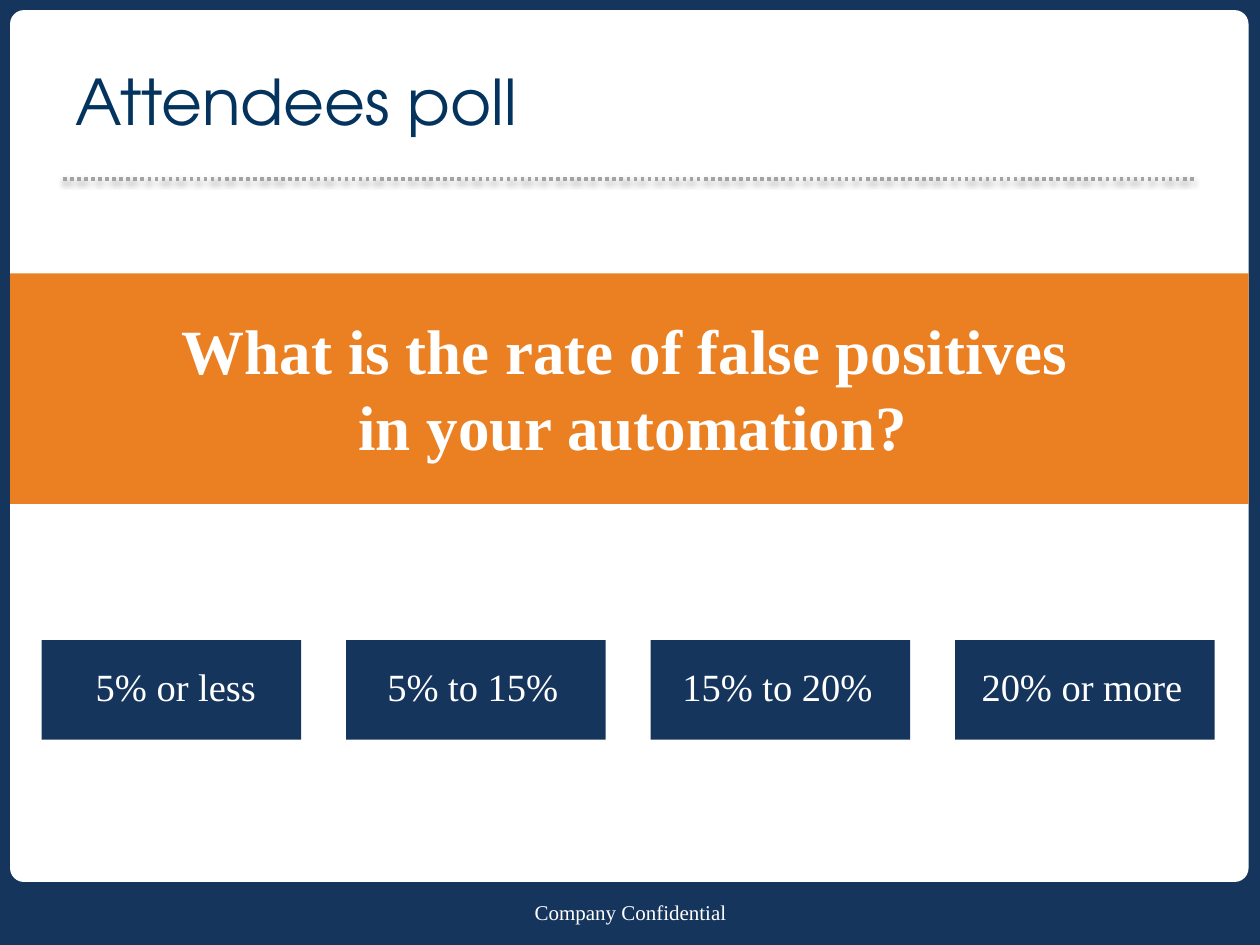
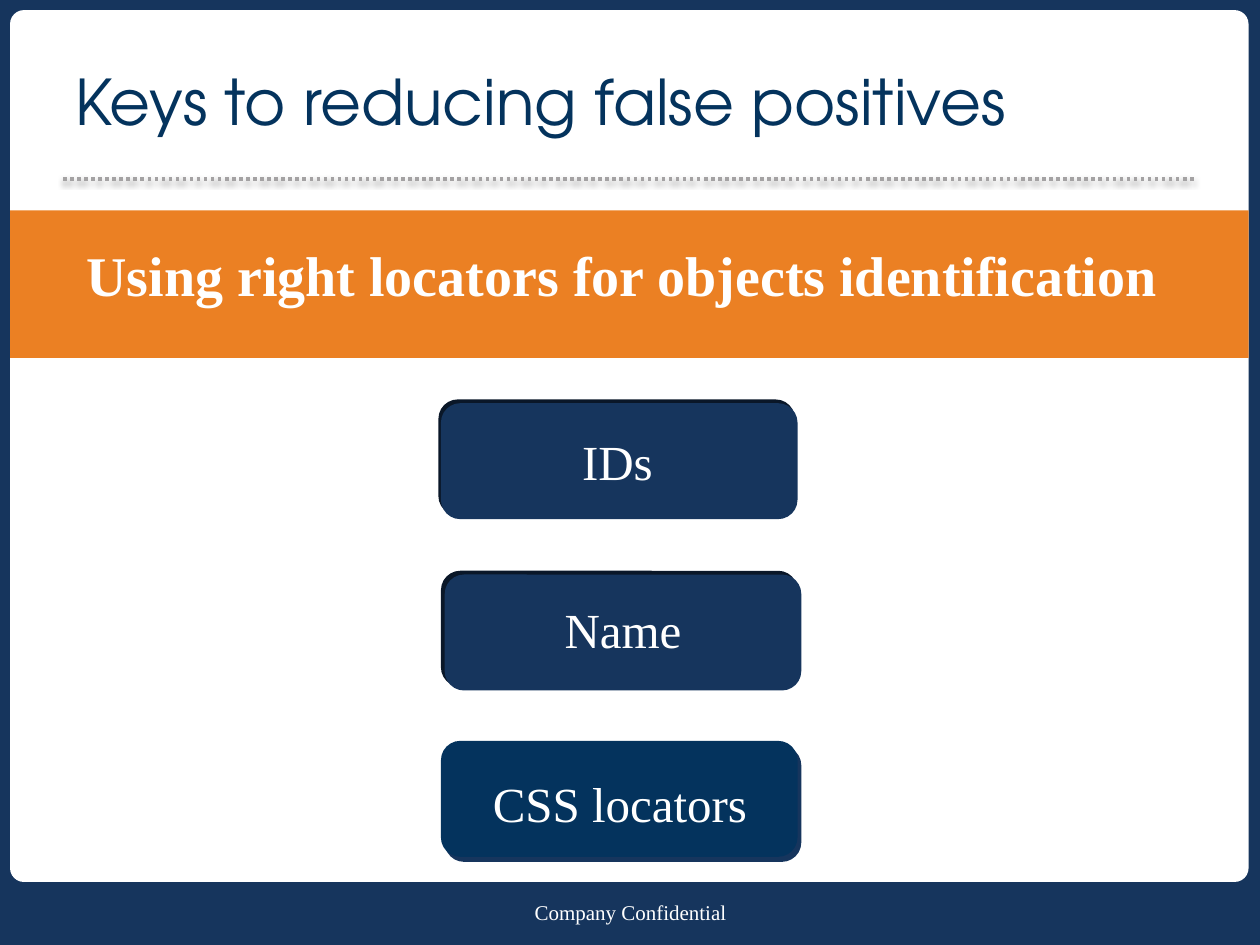
from dataclasses import dataclass

from pptx import Presentation
from pptx.dml.color import RGBColor
from pptx.enum.dml import MSO_LINE
from pptx.enum.shapes import MSO_CONNECTOR, MSO_SHAPE
from pptx.enum.text import MSO_ANCHOR, MSO_AUTO_SIZE, PP_ALIGN
from pptx.oxml import parse_xml
from pptx.shapes.autoshape import Shape
from pptx.slide import Slide, SlideLayout
from pptx.util import Inches, Pt

NAVY = RGBColor(0x16, 0x35, 0x5D)
DEEP_BLUE = RGBColor(0x04, 0x33, 0x5D)
DARK_EDGE = RGBColor(0x0A, 0x17, 0x28)
ORANGE = RGBColor(0xEB, 0x80, 0x23)
GREY = RGBColor(0xA4, 0xA2, 0xA3)
WHITE = RGBColor(0xFF, 0xFF, 0xFF)

TITLE_FONT = "TeX Gyre Adventor"
BODY_FONT = "Times New Roman"

RULE_SHADOW = (
    '<a:effectLst xmlns:a="http://schemas.openxmlformats.org/drawingml/2006/main">'
    '<a:outerShdw blurRad="39370" dist="22860" dir="5400000" rotWithShape="0">'
    '<a:srgbClr val="000000"><a:alpha val="35000"/></a:srgbClr>'
    "</a:outerShdw></a:effectLst>"
)


@dataclass(frozen=True)
class Box:
    left: float
    top: float
    width: float
    height: float

    def lengths(self) -> tuple:
        return tuple(Inches(v) for v in (self.left, self.top, self.width, self.height))

    def shifted(self, right: float, down: float) -> "Box":
        return Box(self.left + right, self.top + down, self.width, self.height)


@dataclass(frozen=True)
class LocatorCard:
    label: str
    front: Box
    back_shift: tuple[float, float]
    label_box: Box
    front_color: RGBColor
    back_color: RGBColor


ANSWERS = ("5% or less", "5% to 15%", "15% to 20%", "20% or more")
ANSWER_BOX = Box(0.33, 5.08, 2.06, 0.79)
ANSWER_PITCH = 2.417

CARDS = (
    LocatorCard("IDs", Box(3.5, 3.2, 2.83, 0.92), (-0.02, -0.03),
                Box(4.15, 3.37, 1.5, 0.57), NAVY, DARK_EDGE),
    LocatorCard("Name", Box(3.53, 4.56, 2.83, 0.92), (-0.03, -0.03),
                Box(3.61, 4.71, 2.67, 0.57), NAVY, DARK_EDGE),
    LocatorCard("CSS locators", Box(3.5, 5.88, 2.83, 0.92), (0.03, 0.04),
                Box(3.67, 6.09, 2.5, 0.57), DEEP_BLUE, NAVY),
)


def add_block(shapes, box: Box, color: RGBColor, kind=MSO_SHAPE.RECTANGLE) -> Shape:
    shape = shapes.add_shape(kind, *box.lengths())
    shape.shadow.inherit = False
    shape.fill.solid()
    shape.fill.fore_color.rgb = color
    shape.line.fill.background()
    return shape


def add_label(shapes, box: Box, text: str, size: int, bold: bool = False,
              grow: bool = True) -> Shape:
    shape = shapes.add_textbox(*box.lengths())
    frame = shape.text_frame
    frame.text = text
    frame.word_wrap = True
    frame.vertical_anchor = MSO_ANCHOR.MIDDLE
    frame.auto_size = MSO_AUTO_SIZE.SHAPE_TO_FIT_TEXT if grow else MSO_AUTO_SIZE.NONE
    for paragraph in frame.paragraphs:
        paragraph.alignment = PP_ALIGN.CENTER
        for run in paragraph.runs:
            run.font.name = BODY_FONT
            run.font.size = Pt(size)
            run.font.bold = bold
            run.font.color.rgb = WHITE
    return shape


def add_band(slide: Slide, top: float, height: float) -> None:
    add_block(slide.shapes, Box(0.08, top, 9.83, height), ORANGE)


def set_title(slide: Slide, text: str, width: float) -> None:
    title = slide.shapes.title
    title.left, title.top, title.width, title.height = Box(0.5, 0.17, width, 1.25).lengths()
    frame = title.text_frame
    frame.text = text
    frame.vertical_anchor = MSO_ANCHOR.MIDDLE
    paragraph = frame.paragraphs[0]
    paragraph.alignment = PP_ALIGN.LEFT
    font = paragraph.runs[0].font
    font.name = TITLE_FONT
    font.size = Pt(36)
    font.color.rgb = DEEP_BLUE


def move_frame_to_layout(slide: Slide, layout: SlideLayout) -> None:
    for placeholder in list(layout.placeholders):
        if placeholder.placeholder_format.idx != 0:
            layout.shapes.element.remove(placeholder.element)

    shapes = slide.shapes
    border = add_block(shapes, Box(0, 0, 10, 7.5), NAVY)
    panel = add_block(shapes, Box(0.08, 0.08, 9.83, 6.92), WHITE, MSO_SHAPE.ROUNDED_RECTANGLE)
    panel.adjustments[0] = 0.016
    rule = shapes.add_connector(MSO_CONNECTOR.STRAIGHT, Inches(0.5), Inches(1.42),
                                Inches(9.5), Inches(1.42))
    rule.line.color.rgb = GREY
    rule.line.width = Pt(2)
    rule.line.dash_style = MSO_LINE.ROUND_DOT
    rule.element.spPr.append(parse_xml(RULE_SHADOW))
    footer = add_label(shapes, Box(3.42, 7, 3.17, 0.48), "Company Confidential", 12, grow=False)
    for shape in (border, panel, rule, footer):
        layout.shapes.element.append(shape.element)


def build_poll(slide: Slide) -> None:
    set_title(slide, "Attendees poll", 9.25)
    add_band(slide, 2.17, 1.83)
    add_label(slide.shapes, Box(0.45, 2.42, 9.14, 1.31),
              "What is the rate of false positives \nin your automation?", 36, bold=True)
    for index, answer in enumerate(ANSWERS):
        box = ANSWER_BOX.shifted(index * ANSWER_PITCH, 0)
        add_block(slide.shapes, box, NAVY)
        inset = 0.11 if index else 0.17
        add_label(slide.shapes, Box(box.left + inset, 5.21, 1.79, 0.47), answer, 22)


def build_keys(slide: Slide) -> None:
    set_title(slide, "Keys to reducing false positives", 9)
    add_band(slide, 1.67, 1.17)
    heading = add_label(slide.shapes, Box(0.33, 1.86, 9.33, 0.64),
                        "Using right locators for objects identification ", 32, bold=True)
    paragraph = heading.text_frame.paragraphs[0]
    paragraph.line_spacing = Pt(38)
    paragraph.space_before = Pt(6.4)
    for card in CARDS:
        add_block(slide.shapes, card.front.shifted(*card.back_shift), card.back_color,
                  MSO_SHAPE.ROUNDED_RECTANGLE)
        group = slide.shapes.add_group_shape()
        add_block(group.shapes, card.front, card.front_color, MSO_SHAPE.ROUNDED_RECTANGLE)
        add_label(group.shapes, card.label_box, card.label, 28)


def main() -> None:
    presentation = Presentation()
    presentation.slide_width = Inches(10)
    presentation.slide_height = Inches(7.5)
    layout = presentation.slide_layouts.get_by_name("Title Only")
    poll = presentation.slides.add_slide(layout)
    move_frame_to_layout(poll, layout)
    build_poll(poll)
    build_keys(presentation.slides.add_slide(layout))
    presentation.save("out.pptx")


if __name__ == "__main__":
    main()
